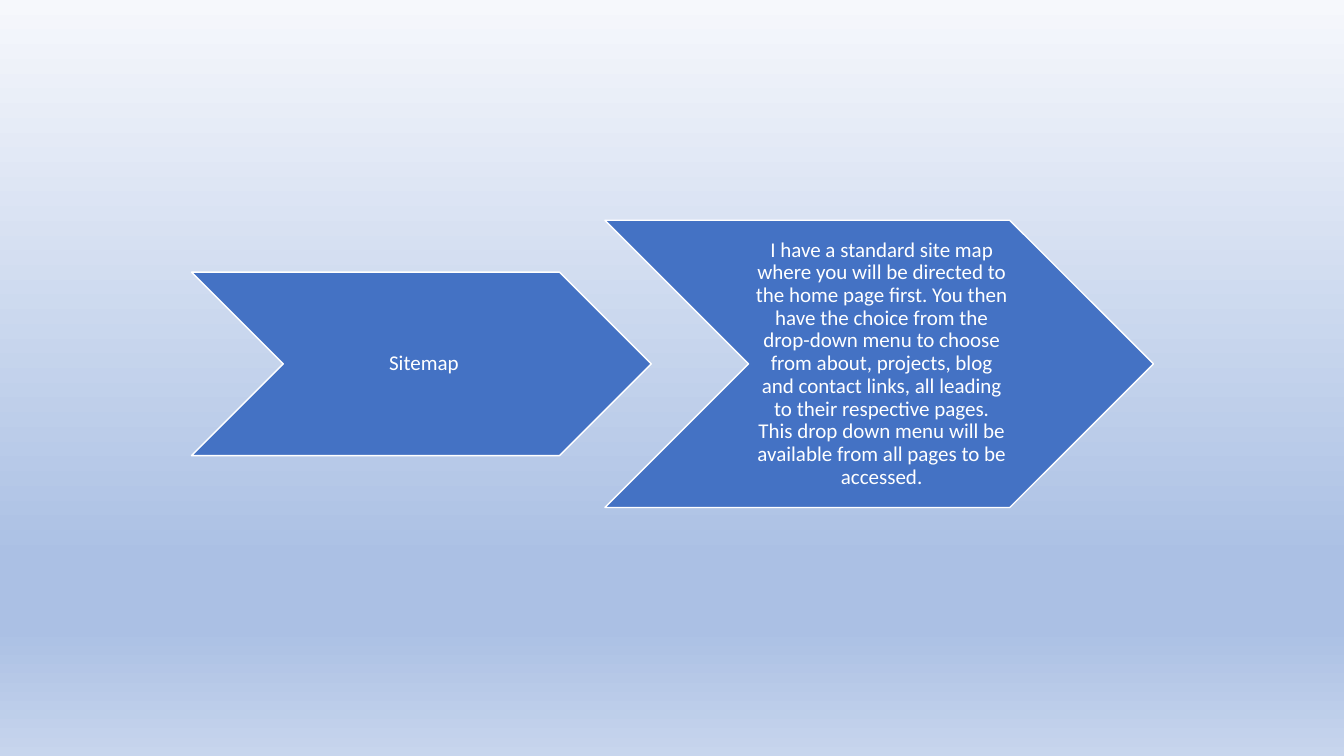
from dataclasses import dataclass

from lxml.etree import SubElement
from pptx import Presentation
from pptx.dml.color import RGBColor
from pptx.enum.shapes import MSO_SHAPE
from pptx.enum.text import MSO_ANCHOR, PP_ALIGN
from pptx.oxml.ns import qn
from pptx.slide import Slide
from pptx.util import Inches, Pt


@dataclass(frozen=True)
class Theme:
    font: str = "Calibri"
    size: int = 15
    fill: str = "4472C4"
    white: str = "FFFFFF"
    # Position in percent and colour, from top to bottom
    background: tuple[tuple[int, str], ...] = (
        (0, "F6F8FC"), (74, "ABC0E4"), (83, "ABC0E4"), (100, "C7D5ED"))


@dataclass(frozen=True)
class Chevron:
    left: float
    width: float
    height: float
    text: str


THEME = Theme()
MIDDLE = 3.61  # shared horizontal axis of the chevrons, in inches

CHEVRONS = (
    Chevron(1.9, 4.56, 1.82, "Sitemap"),
    Chevron(6, 5.44, 2.85,
            "I have a standard site map where you will be directed to the home "
            "page first. You then have the choice from the drop-down menu to "
            "choose from about, projects, blog and contact links, all leading "
            "to their respective pages. This drop down menu will be available "
            "from all pages to be accessed."),
)


def paint_background(s: Slide) -> None:
    fill = s.background.fill
    fill.gradient()
    fill.gradient_angle = 270
    stops = next(s.element.iter(qn("a:gsLst")))
    for stop in list(stops):
        stops.remove(stop)
    for percent, color in THEME.background:
        gs = SubElement(stops, qn("a:gs"), pos=str(percent * 1000))
        SubElement(gs, qn("a:srgbClr"), val=color)


def add_chevron(s: Slide, chevron: Chevron) -> None:
    sp = s.shapes.add_shape(
        MSO_SHAPE.CHEVRON, Inches(chevron.left),
        Inches(MIDDLE - chevron.height / 2),
        Inches(chevron.width), Inches(chevron.height))
    sp.shadow.inherit = False
    sp.fill.solid()
    sp.fill.fore_color.rgb = RGBColor.from_string(THEME.fill)
    sp.line.color.rgb = RGBColor.from_string(THEME.white)
    sp.line.width = Pt(1)

    tf = sp.text_frame
    tf.word_wrap = True
    tf.vertical_anchor = MSO_ANCHOR.MIDDLE
    tf.margin_left = Inches(0.07)
    tf.margin_top = tf.margin_right = tf.margin_bottom = Inches(0.02)
    p = tf.paragraphs[0]
    p.text = chevron.text
    p.alignment = PP_ALIGN.CENTER
    p.line_spacing = 0.9
    p.font.name = THEME.font
    p.font.size = Pt(THEME.size)
    p.font.color.rgb = RGBColor.from_string(THEME.white)


def main() -> None:
    prs = Presentation()
    prs.slide_width, prs.slide_height = Inches(13.33), Inches(7.5)
    s = prs.slides.add_slide(prs.slide_layouts[6])  # blank layout

    # Background gradient
    paint_background(s)

    # Process arrows
    for chevron in CHEVRONS:
        add_chevron(s, chevron)

    prs.save("out.pptx")


if __name__ == "__main__":
    main()
